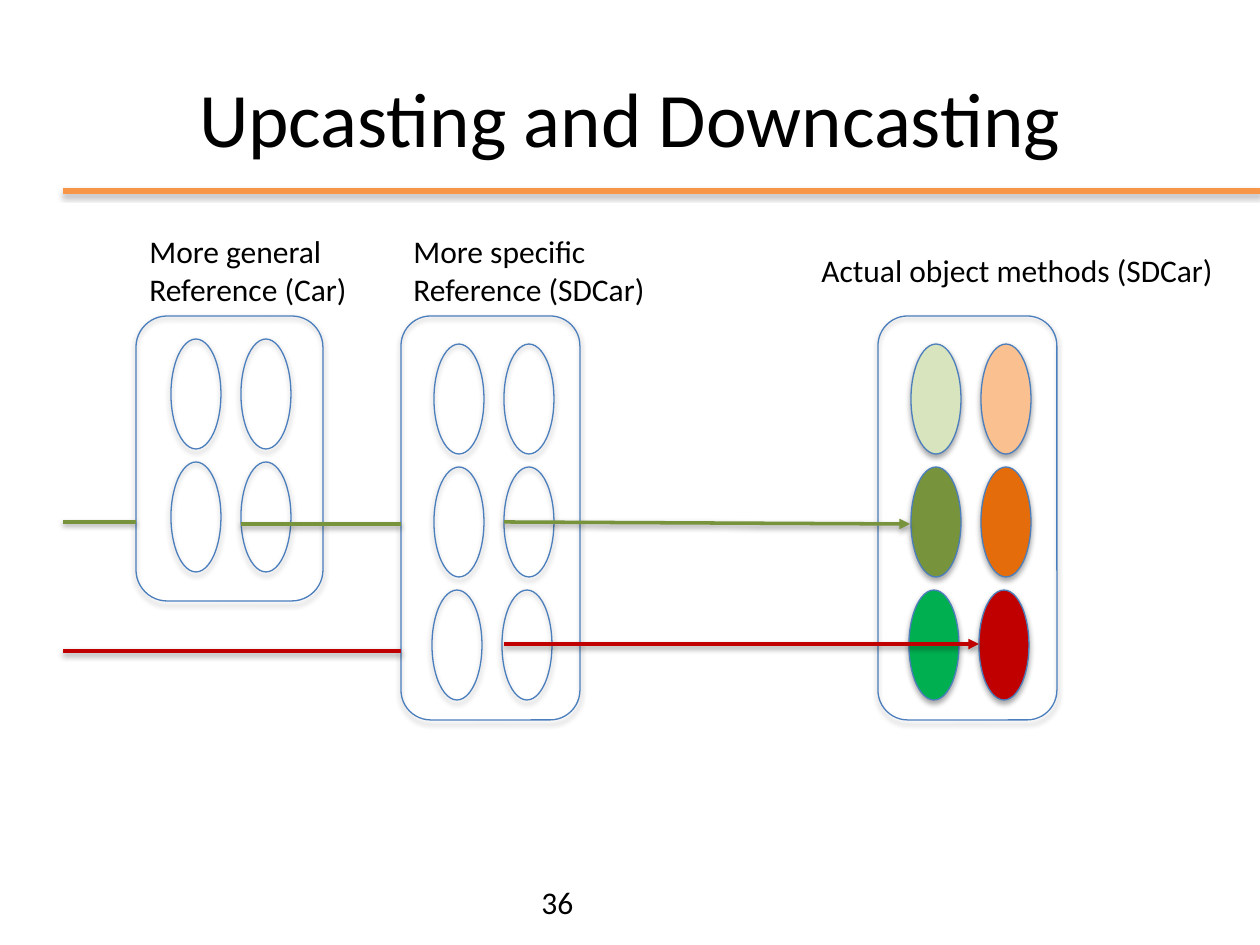
from typing import NamedTuple

from lxml import etree
from pptx import Presentation
from pptx.dml.color import RGBColor
from pptx.enum.shapes import MSO_CONNECTOR, MSO_SHAPE
from pptx.enum.text import MSO_ANCHOR, MSO_AUTO_SIZE, PP_ALIGN
from pptx.oxml import parse_xml
from pptx.oxml.ns import nsdecls, qn
from pptx.util import Emu, Pt

STRAIGHT = MSO_CONNECTOR.STRAIGHT
OVAL = MSO_SHAPE.OVAL
ROUNDED = MSO_SHAPE.ROUNDED_RECTANGLE
MIDDLE = MSO_ANCHOR.MIDDLE
FIT_SHAPE = MSO_AUTO_SIZE.SHAPE_TO_FIT_TEXT
CENTER = PP_ALIGN.CENTER

PIXELS_PER_INCH = 126
FONT = "Calibri"
COLORS = {
    "text": "000000", "outline": "4B7EBC", "rule": "F79646",
    "light green": "D7E4BD", "light orange": "FAC090",
    "olive": "77933C", "orange": "E46C0A",
    "green": "00B050", "red": "C00000",
}

# Method ovals stand in a two-column grid inside each panel
OVAL_WIDTH, OVAL_HEIGHT = 50, 110
COLUMN_STEP, ROW_STEP = 70, 123
THIRD_ROW_SHIFT = -2
PANEL_TOP = 316


class Panel(NamedTuple):
    left: int
    width: int
    height: int
    grid_left: int
    grid_top: int
    rows: int
    fills: tuple[str, ...] = ()


class Label(NamedTuple):
    left: int
    top: int
    width: int
    height: int
    lines: tuple[str, ...]
    wrap: bool = False


class Line(NamedTuple):
    x1: int
    y1: int
    x2: int
    y2: int
    color: str
    arrow: bool = False
    width: float = 2


PANELS = [
    Panel(136, 187, 285, 171, 339, 2),
    Panel(401, 179, 404, 434, 344, 3),
    Panel(878, 179, 404, 911, 344, 3,
          ("light green", "light orange", "olive", "orange", "green", "red")),
]
LABELS = [
    Label(137, 226, 226, 89, ("More general", "Reference (Car)")),
    Label(401, 226, 260, 89, ("More specific", "Reference (SDCar)")),
    Label(809, 245, 422, 50, ("Actual object methods (SDCar)",)),
    Label(529, 877, 668, 50, ("36",), wrap=True),
]
TITLE_RULE = Line(63, 191, 1260, 191, "rule", width=3)
CALL_LINES = [
    Line(63, 651, 401, 651, "red"),
    Line(504, 644, 979, 644, "red", arrow=True),
    Line(63, 522, 136, 522, "olive"),
    Line(241, 524, 401, 524, "olive"),
    Line(504, 522, 910, 524, "olive", arrow=True),
]


def px(pixels: float) -> Emu:
    return Emu(round(pixels * 914400 / PIXELS_PER_INCH))


def rgb(name: str) -> RGBColor:
    return RGBColor.from_string(COLORS[name])


def add_shadow(shape, distance: int, opacity: int) -> None:
    shape._element.spPr.append(parse_xml(
        f'<a:effectLst {nsdecls("a")}>'
        f'<a:outerShdw blurRad="40000" dist="{distance}" dir="5400000" rotWithShape="0">'
        f'<a:srgbClr val="000000"><a:alpha val="{opacity * 1000}"/></a:srgbClr>'
        '</a:outerShdw></a:effectLst>'))


def add_outline(page, kind, left: int, top: int, width: int, height: int,
                fill: str | None = None) -> None:
    shape = page.shapes.add_shape(kind, px(left), px(top), px(width), px(height))
    if fill:
        shape.fill.solid()
        shape.fill.fore_color.rgb = rgb(fill)
    else:
        shape.fill.background()
    shape.line.color.rgb = rgb("outline")
    shape.line.width = Pt(0.75)
    add_shadow(shape, 23000, 35)


def add_panel(page, panel: Panel) -> None:
    for index in range(panel.rows * 2):
        row, column = divmod(index, 2)
        left = panel.grid_left + column * COLUMN_STEP
        if row == 2:
            left += THIRD_ROW_SHIFT
        fill = panel.fills[index] if panel.fills else None
        add_outline(page, OVAL, left, panel.grid_top + row * ROW_STEP,
                    OVAL_WIDTH, OVAL_HEIGHT, fill)
    add_outline(page, ROUNDED, panel.left, PANEL_TOP, panel.width, panel.height)


def format_paragraph(para, size: int) -> None:
    para.font.name = FONT
    para.font.size = Pt(size)
    para.font.color.rgb = rgb("text")


def add_label(page, label: Label) -> None:
    box = page.shapes.add_textbox(px(label.left), px(label.top),
                                  px(label.width), px(label.height))
    frame = box.text_frame
    frame.word_wrap = label.wrap
    frame.auto_size = FIT_SHAPE
    frame.text = "\n".join(label.lines)
    for para in frame.paragraphs:
        format_paragraph(para, 18)


def add_line(page, line: Line, distance: int = 20000, opacity: int = 38) -> None:
    connector = page.shapes.add_connector(
        STRAIGHT, px(line.x1), px(line.y1), px(line.x2), px(line.y2))
    connector.line.color.rgb = rgb(line.color)
    connector.line.width = Pt(line.width)
    if line.arrow:
        outline = connector.line._get_or_add_ln()
        etree.SubElement(outline, qn("a:tailEnd"), type="triangle")
    add_shadow(connector, distance, opacity)


deck = Presentation()
deck.slide_width, deck.slide_height = px(1260), px(945)
page = deck.slides.add_slide(deck.slide_layouts[5])

# Title and the rule below it
title = page.shapes.title
title.left, title.top, title.width, title.height = px(63), px(38), px(1134), px(157)
title.text_frame.text = "Upcasting and Downcasting"
title.text_frame.vertical_anchor = MIDDLE
title_para = title.text_frame.paragraphs[0]
title_para.alignment = CENTER
format_paragraph(title_para, 44)
add_line(page, TITLE_RULE, 23000, 35)

# Panels, labels and call lines
for panel in PANELS:
    add_panel(page, panel)
for label in LABELS:
    add_label(page, label)
for call_line in CALL_LINES:
    add_line(page, call_line)

deck.save("out.pptx")
